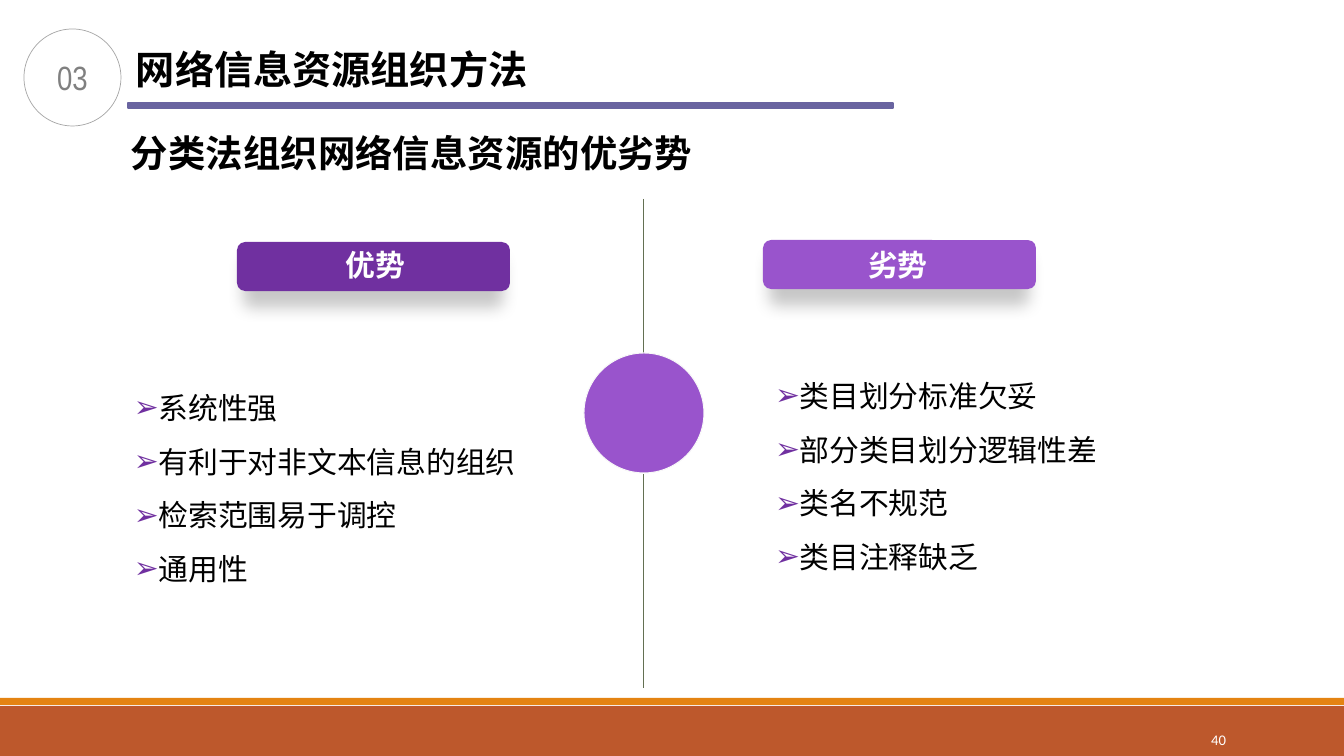
"""Build the slide on strengths and weaknesses of classification for web resources."""

import dataclasses

import lxml.etree
import pptx
import pptx.dml.color
import pptx.enum.shapes
import pptx.enum.text
import pptx.oxml.ns
import pptx.presentation
import pptx.shapes.autoshape
import pptx.slide
import pptx.text.text
import pptx.util

EMU_PER_PX = 914400 / 100.8
SHAPES = pptx.enum.shapes.MSO_SHAPE
ALIGN = pptx.enum.text.PP_ALIGN
ANCHOR = pptx.enum.text.MSO_ANCHOR


@dataclasses.dataclass(frozen=True)
class Theme:
    black: str = "000000"
    white: str = "FFFFFF"
    grey: str = "808080"
    ring: str = "A6A6A6"
    rust: str = "BD582C"
    orange: str = "E48312"
    rule: str = "6964A0"
    purple: str = "7030A0"
    lilac: str = "9954CC"
    divider: str = "637052"
    pale: str = "F8F8F8"
    title_size: float = 28
    subtitle_size: float = 26.7
    number_size: float = 24
    body_size: float = 21.3
    page_size: float = 10.5
    body_font: str = "Calibri"
    label_font: str = "Arial"
    number_font: str = "Arial Narrow"
    title_font: str = "Noto Sans CJK SC"


THEME = Theme()


@dataclasses.dataclass(frozen=True)
class Box:
    left: int
    top: int
    width: int
    height: int


@dataclasses.dataclass(frozen=True)
class Panel:
    kind: SHAPES
    box: Box
    fill: str | None = None
    line: str | None = None
    line_width: float = 0.75
    shadow: bool = False


@dataclasses.dataclass(frozen=True)
class Label:
    lines: tuple[str, ...]
    box: Box
    size: float
    font: str = THEME.body_font
    color: str = THEME.black
    bold: bool = False
    align: ALIGN = ALIGN.LEFT
    anchor: ANCHOR = ANCHOR.TOP
    margin_x: int = 10
    margin_y: int = 5
    wrap: bool = True
    grow: bool = True
    bullets: bool = False


PANELS = (
    Panel(SHAPES.RECTANGLE, Box(0, 706, 1344, 50), THEME.rust),
    Panel(SHAPES.RECTANGLE, Box(0, 698, 1344, 7), THEME.orange),
    Panel(SHAPES.RECTANGLE, Box(128, 103, 765, 5), THEME.rule, THEME.rule, 1.25),
    Panel(SHAPES.OVAL, Box(24, 29, 97, 97), None, THEME.ring, 0.5),
    Panel(SHAPES.ROUNDED_RECTANGLE, Box(237, 242, 273, 49), THEME.purple, shadow=True),
    Panel(SHAPES.ROUNDED_RECTANGLE, Box(763, 240, 273, 49), THEME.lilac, shadow=True),
    Panel(SHAPES.OVAL, Box(584, 353, 120, 120), THEME.lilac, THEME.pale),
)

DIVIDER_X = 644
DIVIDERS = ((199, 373), (474, 688))

HEADING = Label((), Box(0, 0, 0, 0), THEME.body_size, THEME.label_font, THEME.white, True,
                margin_x=13, margin_y=7, wrap=False)
POINTS = Label((), Box(0, 0, 0, 0), THEME.body_size, margin_x=13, margin_y=7, bullets=True)

LABELS = (
    Label(("40",), Box(1092, 720, 144, 40), THEME.page_size, color=THEME.white,
          align=ALIGN.RIGHT, anchor=ANCHOR.MIDDLE, grow=False),
    Label(("03",), Box(24, 29, 97, 97), THEME.number_size, THEME.number_font, THEME.grey,
          align=ALIGN.CENTER, anchor=ANCHOR.MIDDLE, grow=False),
    Label(("网络信息资源组织方法",), Box(126, 40, 418, 57), THEME.title_size,
          THEME.title_font, bold=True, wrap=False),
    dataclasses.replace(HEADING, lines=("优势",), box=Box(330, 240, 88, 49), align=ALIGN.RIGHT),
    dataclasses.replace(HEADING, lines=("劣势",), box=Box(855, 240, 88, 49)),
    dataclasses.replace(
        POINTS, box=Box(121, 365, 446, 231),
        lines=("系统性强", "有利于对非文本信息的组织", "检索范围易于调控", "通用性")),
    dataclasses.replace(
        POINTS, box=Box(762, 353, 401, 231),
        lines=("类目划分标准欠妥", "部分类目划分逻辑性差", "类名不规范", "类目注释缺乏")),
    Label(("分类法组织网络信息资源的优劣势",), Box(121, 125, 645, 55),
          THEME.subtitle_size, bold=True),
)


def px(length: int) -> pptx.util.Emu:
    return pptx.util.Emu(round(length * EMU_PER_PX))


def place(box: Box) -> tuple[pptx.util.Emu, ...]:
    return tuple(px(length) for length in dataclasses.astuple(box))


def rgb(color: str) -> pptx.dml.color.RGBColor:
    return pptx.dml.color.RGBColor.from_string(color)


def add_element(parent: lxml.etree._Element, tag: str, **attributes: str) -> lxml.etree._Element:
    return lxml.etree.SubElement(parent, pptx.oxml.ns.qn(tag), attributes)


def add_shadow(shape: pptx.shapes.autoshape.Shape) -> None:
    effects = shape._element.spPr.find(pptx.oxml.ns.qn("a:effectLst"))
    distance = str(pptx.util.Pt(12))
    shadow = add_element(effects, "a:outerShdw", blurRad=distance, dist=distance,
                         dir="5400000", sx="95000", algn="t", rotWithShape="0")
    color = add_element(shadow, "a:srgbClr", val=THEME.black)
    add_element(color, "a:alpha", val="22000")


def draw_panel(slide: pptx.slide.Slide, panel: Panel) -> None:
    shape = slide.shapes.add_shape(panel.kind, *place(panel.box))
    shape.shadow.inherit = False
    if panel.fill:
        shape.fill.solid()
        shape.fill.fore_color.rgb = rgb(panel.fill)
    else:
        shape.fill.background()
    if panel.line:
        shape.line.color.rgb = rgb(panel.line)
        shape.line.width = pptx.util.Pt(panel.line_width)
    else:
        shape.line.fill.background()
    if panel.shadow:
        add_shadow(shape)


def draw_divider(slide: pptx.slide.Slide, top: int, bottom: int) -> None:
    connector = slide.shapes.add_connector(
        pptx.enum.shapes.MSO_CONNECTOR.STRAIGHT,
        px(DIVIDER_X), px(top), px(DIVIDER_X), px(bottom))
    connector.line.color.rgb = rgb(THEME.divider)
    connector.line.width = pptx.util.Pt(0.75)
    add_element(connector._element.spPr, "a:effectLst")


def add_bullet(paragraph: pptx.text.text._Paragraph) -> None:
    paragraph.line_spacing = 1.5
    properties = paragraph._p.get_or_add_pPr()
    properties.set("marL", "0")
    properties.set("indent", "0")
    color = add_element(properties, "a:buClr")
    add_element(color, "a:srgbClr", val=THEME.purple)
    add_element(properties, "a:buFont", typeface=THEME.label_font)
    add_element(properties, "a:buChar", char="➢")


def draw_label(slide: pptx.slide.Slide, label: Label) -> None:
    frame = slide.shapes.add_textbox(*place(label.box)).text_frame
    frame.text = "\n".join(label.lines)
    frame.word_wrap = label.wrap
    frame.vertical_anchor = label.anchor
    frame.margin_left = frame.margin_right = px(label.margin_x)
    frame.margin_top = frame.margin_bottom = px(label.margin_y)
    sizing = pptx.enum.text.MSO_AUTO_SIZE
    frame.auto_size = sizing.SHAPE_TO_FIT_TEXT if label.grow else sizing.NONE
    for paragraph in frame.paragraphs:
        paragraph.alignment = label.align
        if label.bullets:
            add_bullet(paragraph)
        for run in paragraph.runs:
            run.font.size = pptx.util.Pt(label.size)
            run.font.bold = label.bold
            run.font.color.rgb = rgb(label.color)
            run.font.name = label.font
            add_element(run._r.get_or_add_rPr(), "a:ea", typeface=label.font)


def main() -> None:
    presentation = pptx.Presentation()
    presentation.slide_width, presentation.slide_height = px(1344), px(756)
    slide = presentation.slides.add_slide(presentation.slide_layouts[6])
    for top, bottom in DIVIDERS:
        draw_divider(slide, top, bottom)
    for panel in PANELS:
        draw_panel(slide, panel)
    for label in LABELS:
        draw_label(slide, label)
    presentation.save("out.pptx")


if __name__ == "__main__":
    main()
